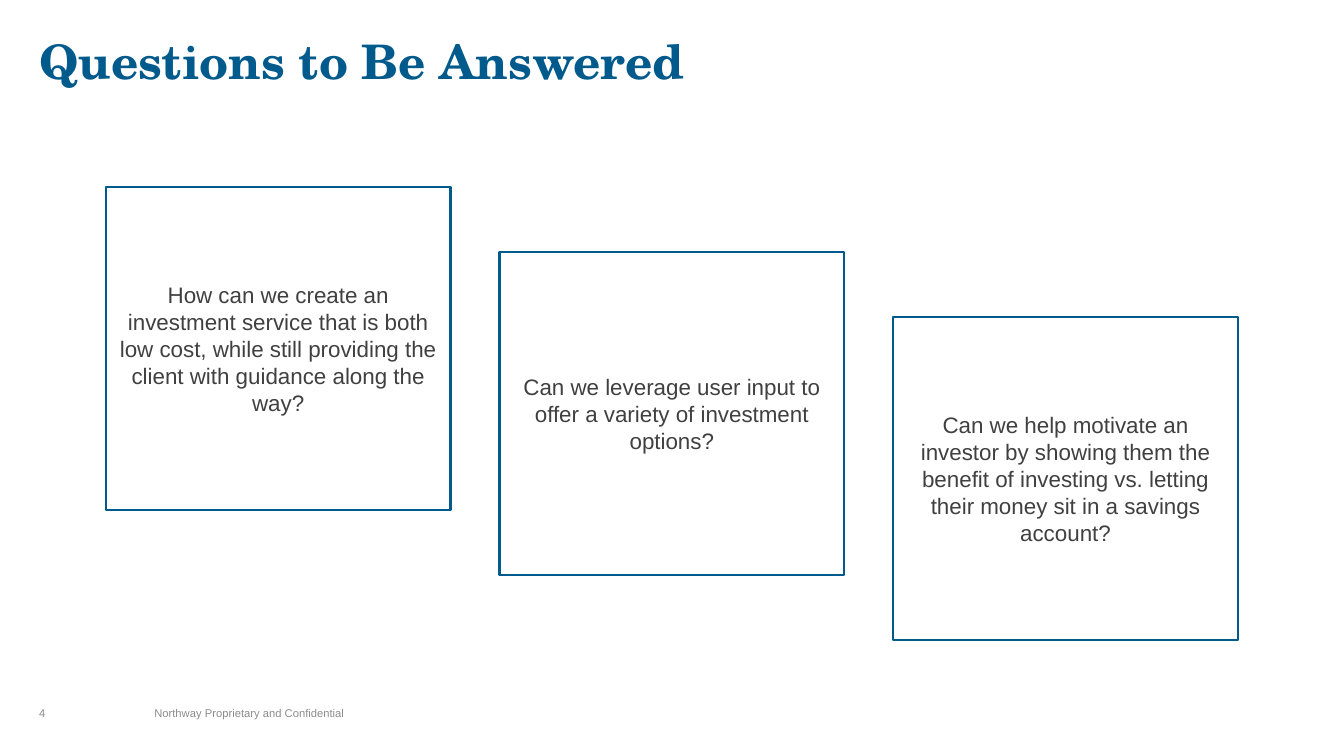
"""Build the slide of three questions stepping down from left to right."""
from dataclasses import dataclass

from pptx import Presentation
from pptx.dml.color import RGBColor
from pptx.enum.shapes import MSO_SHAPE
from pptx.enum.text import MSO_ANCHOR, PP_ALIGN
from pptx.util import Pt


@dataclass(frozen=True)
class Theme:
    blue: RGBColor = RGBColor(0x00, 0x5A, 0x8C)
    body: RGBColor = RGBColor(0x40, 0x40, 0x40)
    muted: RGBColor = RGBColor(0x8C, 0x8C, 0x8C)
    heading_font: str = "TeX Gyre Schola"
    body_font: str = "Arial"
    heading_size: int = 34
    question_size: int = 16
    footer_size: int = 8


theme = Theme()


def set_font(paragraph, name, size, color, bold=False):
    paragraph.font.name = name
    paragraph.font.size = Pt(size)
    paragraph.font.color.rgb = color
    paragraph.font.bold = bold


def add_label(slide, text, left, top, width, height, anchor):
    frame = slide.shapes.add_textbox(Pt(left), Pt(top), Pt(width), Pt(height)).text_frame
    frame.margin_left = frame.margin_right = frame.margin_top = frame.margin_bottom = 0
    frame.word_wrap = True
    frame.vertical_anchor = anchor
    frame.text = text
    return frame.paragraphs[0]


presentation = Presentation()
presentation.slide_width = Pt(960)
presentation.slide_height = Pt(540)
slide = presentation.slides.add_slide(presentation.slide_layouts[6])

heading = add_label(slide, "Questions to Be Answered", 28, 27.4, 904, 28.8, MSO_ANCHOR.TOP)
heading.line_spacing = 0.9
set_font(heading, theme.heading_font, theme.heading_size, theme.blue, bold=True)

questions = [
    "How can we create an investment service that is both low cost, "
    "while still providing the client with guidance along the way?",
    "Can we leverage user input to offer a variety of investment options?",
    "Can we help motivate an investor by showing them the benefit of "
    "investing vs. letting their money sit in a savings account?",
]
first_left, first_top = 75.6, 133.9
step_right, step_down = 281.2, 46.4

for index, question in enumerate(questions):
    card = slide.shapes.add_shape(
        MSO_SHAPE.RECTANGLE,
        Pt(first_left + index * step_right),
        Pt(first_top + index * step_down),
        Pt(246.2),
        Pt(230.4),
    )
    card.shadow.inherit = False
    card.fill.background()
    card.line.color.rgb = theme.blue
    card.line.width = Pt(1.5)
    card.text_frame.word_wrap = True
    card.text_frame.vertical_anchor = MSO_ANCHOR.MIDDLE
    card.text_frame.text = question
    wording = card.text_frame.paragraphs[0]
    wording.alignment = PP_ALIGN.CENTER
    set_font(wording, theme.body_font, theme.question_size, theme.body)

footer_parts = [("4", 28, 28), ("Northway Proprietary and Confidential", 110.2, 324)]
for text, left, width in footer_parts:
    footer = add_label(slide, text, left, 499.7, width, 14.4, MSO_ANCHOR.BOTTOM)
    set_font(footer, theme.body_font, theme.footer_size, theme.muted)

presentation.save("out.pptx")
